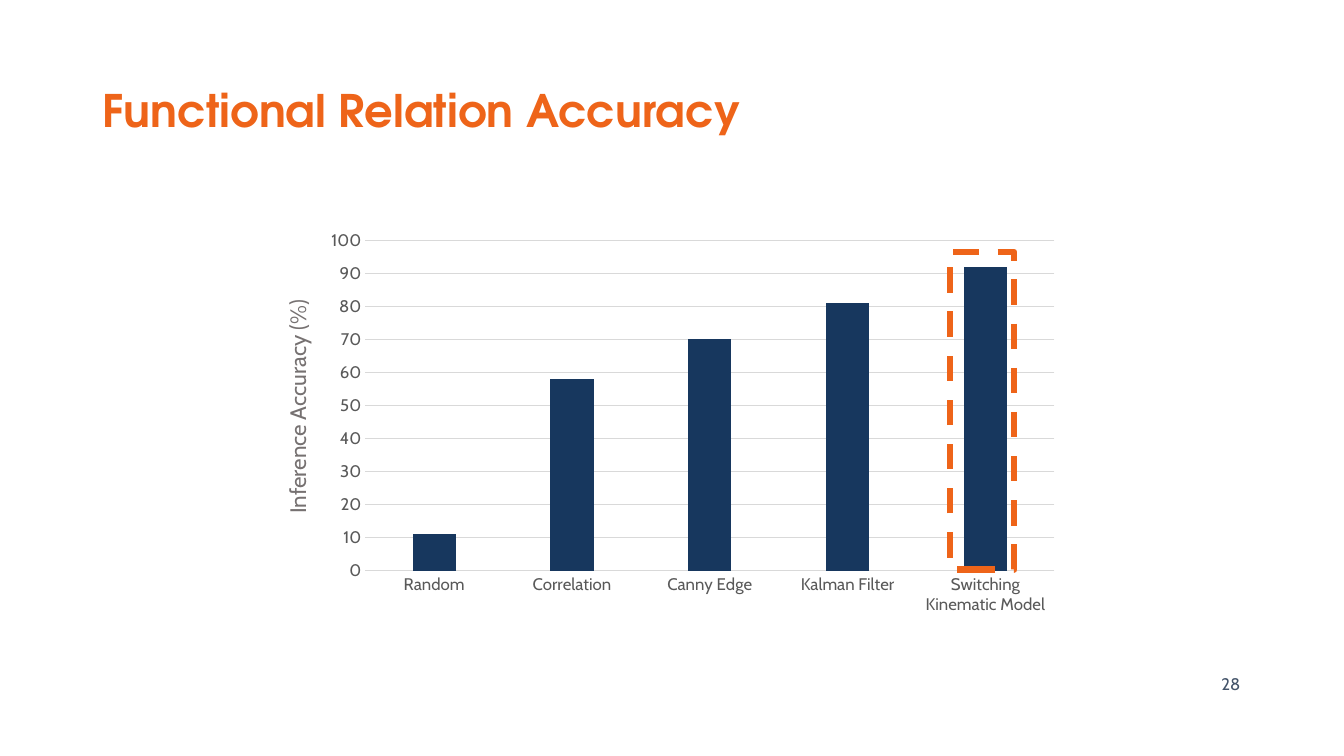
from dataclasses import dataclass

from lxml.etree import SubElement
from pptx import Presentation
from pptx.chart.data import CategoryChartData
from pptx.dml.color import RGBColor
from pptx.enum.chart import XL_CHART_TYPE, XL_TICK_MARK
from pptx.enum.dml import MSO_LINE
from pptx.enum.shapes import MSO_SHAPE
from pptx.enum.text import MSO_ANCHOR, PP_ALIGN
from pptx.oxml.ns import qn
from pptx.util import Inches, Pt


@dataclass(frozen=True)
class Theme:
    heading_font: str = "TeX Gyre Adventor"
    body_font: str = "Cabin"
    orange: RGBColor = RGBColor(0xEE, 0x64, 0x19)
    navy: RGBColor = RGBColor(0x17, 0x37, 0x5E)
    slate: RGBColor = RGBColor(0x44, 0x54, 0x6A)
    axis_title: RGBColor = RGBColor(0x76, 0x71, 0x71)
    axis_text: RGBColor = RGBColor(0x59, 0x59, 0x59)
    grid: RGBColor = RGBColor(0xD9, 0xD9, 0xD9)
    title_size: Pt = Pt(32)
    axis_title_size: Pt = Pt(16)
    small_size: Pt = Pt(12)


THEME = Theme()
ACCURACY = {
    "Random": 11,
    "Correlation": 58,
    "Canny Edge": 70,
    "Kalman Filter": 81,
    "Switching Kinematic Model": 92,
}


def style_font(font, size, color, name=THEME.body_font, bold=False):
    font.name, font.size, font.bold = name, size, bold
    font.color.rgb = color


def add_text(s, box, text, size, color, anchor=MSO_ANCHOR.MIDDLE,
             align=PP_ALIGN.LEFT, name=THEME.body_font, bold=False):
    tb = s.shapes.add_textbox(*map(Inches, box))
    tf = tb.text_frame
    tf.word_wrap = True
    tf.vertical_anchor = anchor
    p = tf.paragraphs[0]
    p.text = text
    p.alignment = align
    style_font(p.font, size, color, name, bold)
    return tb


def add_title(s, box, text):
    tb = add_text(s, box, text, THEME.title_size, THEME.orange,
                  name=THEME.heading_font, bold=True)
    tb.text_frame.paragraphs[0].line_spacing = 0.9


def fix_plot_area(chart, x, y, w, h):
    """Pin the inner plot area to fractions of the chart box."""
    plot_area = chart._chartSpace.chart.plotArea
    layout = plot_area.find(qn("c:layout"))
    if layout is None:
        layout = SubElement(plot_area, qn("c:layout"))
        plot_area.insert(0, layout)
    manual = SubElement(layout, qn("c:manualLayout"))
    settings = {"layoutTarget": "inner", "xMode": "edge", "yMode": "edge",
                "x": x, "y": y, "w": w, "h": h}
    for tag, value in settings.items():
        SubElement(manual, qn(f"c:{tag}")).set("val", str(value))


def style_axes(chart):
    for axis in (chart.category_axis, chart.value_axis):
        axis.major_tick_mark = axis.minor_tick_mark = XL_TICK_MARK.NONE
        style_font(axis.tick_labels.font, THEME.small_size, THEME.axis_text)
    value_axis = chart.value_axis
    value_axis.minimum_scale, value_axis.maximum_scale = 0, 100
    value_axis.major_unit = 10
    value_axis.format.line.fill.background()
    for line in (chart.category_axis.format.line,
                 value_axis.major_gridlines.format.line):
        line.color.rgb = THEME.grid
        line.width = Pt(0.75)


def add_accuracy_chart(s, box):
    data = CategoryChartData()
    data.categories = list(ACCURACY)
    data.add_series("Series 1", list(ACCURACY.values()))
    chart = s.shapes.add_chart(
        XL_CHART_TYPE.COLUMN_CLUSTERED, *map(Inches, box), data).chart
    chart.has_legend = chart.has_title = False
    chart.font.name, chart.font.size = THEME.body_font, Pt(10)
    plot = chart.plots[0]
    plot.vary_by_categories = False
    plot.gap_width, plot.overlap = 219, -27
    fill = plot.series[0].format.fill
    fill.solid()
    fill.fore_color.rgb = THEME.navy
    style_axes(chart)
    fix_plot_area(chart, 0.066, 0.044, 0.915, 0.826)


def add_highlight(s, box):
    frame = s.shapes.add_shape(MSO_SHAPE.RECTANGLE, *map(Inches, box))
    frame.shadow.inherit = False
    frame.fill.background()
    frame.line.color.rgb = THEME.orange
    frame.line.width = Pt(4.5)
    frame.line.dash_style = MSO_LINE.DASH


def add_chart_region(s, box):
    """Chart with its rotated axis title and the frame round the best result."""
    left, top, _, _ = box
    add_accuracy_chart(s, box)
    label = add_text(s, (left - 1.37, top + 1.61, 2.38, 0.37),
                     "Inference Accuracy (%)", THEME.axis_title_size,
                     THEME.axis_title, anchor=MSO_ANCHOR.TOP)
    label.rotation = 270
    add_highlight(s, (left + 6.29, top + 0.29, 0.64, 3.15))


def main():
    prs = Presentation()
    prs.slide_width, prs.slide_height = Inches(13.33), Inches(7.5)
    s = prs.slides.add_slide(prs.slide_layouts[6])
    add_title(s, (0.92, 0.4, 11.5, 1.45), "Functional Relation Accuracy")
    add_chart_region(s, (3.13, 2.21, 7.47, 3.97))
    add_text(s, (9.4, 6.58, 3, 0.4), "28", THEME.small_size, THEME.slate,
             align=PP_ALIGN.RIGHT)
    prs.save("out.pptx")


if __name__ == "__main__":
    main()
